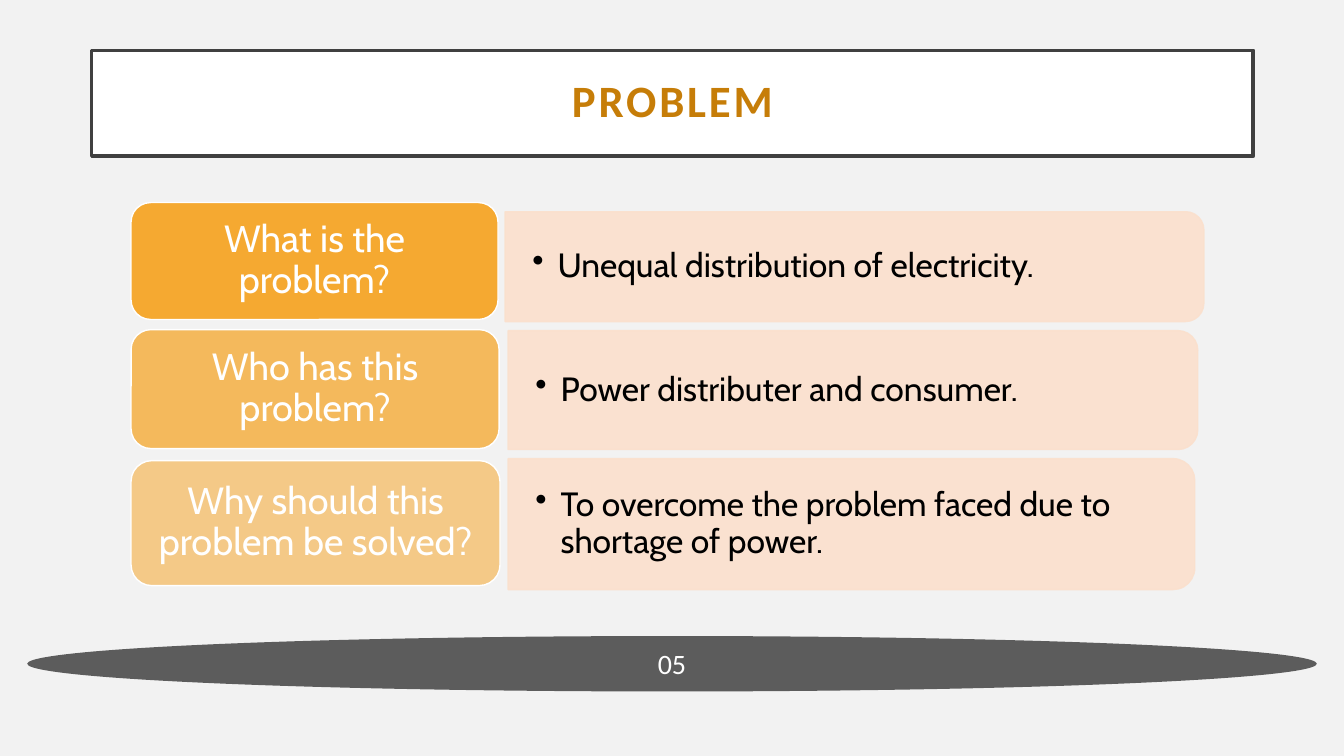
from pptx import Presentation
from pptx.dml.color import RGBColor
from pptx.enum.shapes import MSO_SHAPE as Preset
from pptx.enum.text import MSO_ANCHOR as Anchor, PP_ALIGN as Align
from pptx.oxml import parse_xml
from pptx.oxml.ns import nsdecls, qn
from pptx.util import Inches, Pt

ORANGE, PEACH, WHITE, BLACK = "F6A21D", "FBE0CD", "FFFFFF", "000000"
BULLET_INDENT = 0.25
LABEL_LEFT = 1.3
LABEL_FORMAT = {"size": Pt(27), "name": "Cabin"}
ANSWER_FORMAT = {"size": Pt(24), "name": "Cabin"}
NUMBER_FORMAT = {"size": Pt(20), "name": "Calibri"}
TITLE_FORMAT = {"size": Pt(32), "name": "Calibri", "bold": True}

# Label text, label (top, width, height), opacity, answer, panel (left, top, width, height)
ROWS = [
    ("What is the problem?", (2.01, 3.64, 1.16), 90,
     "Unequal distribution of electricity.", (5.01, 2.1, 6.93, 1.09)),
    ("Who has this problem?", (3.27, 3.65, 1.18), 70,
     "Power distributer and consumer.", (5.04, 3.28, 6.84, 1.18)),
    ("Why should this problem be solved?", (4.57, 3.66, 1.24), 50,
     "To overcome the problem faced due to shortage of power.", (5.04, 4.55, 6.81, 1.3)),
]


def color(hex_value):
    return RGBColor.from_string(hex_value)


def set_opacity(fill_parent, percent):
    srgb = fill_parent.find(qn("a:solidFill")).find(qn("a:srgbClr"))
    srgb.append(parse_xml(f'<a:alpha {nsdecls("a")} val="{percent * 1000}"/>'))


def add_box(slide, preset, box, fill, opacity=100, line=None, line_width=1):
    shape = slide.shapes.add_shape(preset, *map(Inches, box))
    shape.shadow.inherit = False
    shape.fill.solid()
    shape.fill.fore_color.rgb = color(fill)
    if opacity < 100:
        set_opacity(shape._element.spPr, opacity)
    if line:
        shape.line.color.rgb = color(line)
        shape.line.width = Pt(line_width)
    else:
        shape.line.fill.background()
    return shape


def write_text(shape, text, font_format, hex_value, insets, align=Align.CENTER, spacing=0.9):
    """Fill the shape with one paragraph; insets are (horizontal, vertical) inches."""
    frame = shape.text_frame
    horizontal, vertical = map(Inches, insets)
    frame_format = {
        "word_wrap": True, "vertical_anchor": Anchor.MIDDLE,
        "margin_left": horizontal, "margin_right": horizontal,
        "margin_top": vertical, "margin_bottom": vertical,
    }
    for name, value in frame_format.items():
        setattr(frame, name, value)
    paragraph = frame.paragraphs[0]
    paragraph.alignment = align
    paragraph.line_spacing = spacing
    run = paragraph.add_run()
    run.text = text
    for name, value in font_format.items():
        setattr(run.font, name, value)
    run.font.color.rgb = color(hex_value)
    return paragraph


def add_bullet(paragraph):
    properties = paragraph._p.get_or_add_pPr()
    properties.set("marL", str(Inches(BULLET_INDENT)))
    properties.set("indent", str(-Inches(BULLET_INDENT)))
    properties.append(parse_xml(f'<a:buChar {nsdecls("a")} char="•"/>'))


def add_panel(slide, left, top, width, height):
    """Add a panel rounded on its right side: a top-rounded shape turned by 90 degrees."""
    shift = (width - height) / 2
    turned_box = (left + shift, top - shift, height, width)
    panel = add_box(slide, Preset.ROUND_2_SAME_RECTANGLE, turned_box, PEACH, 90, PEACH)
    set_opacity(panel.line._get_or_add_ln(), 90)
    panel.rotation = 90


def add_answer(slide, text, panel_box):
    left, top, width, height = panel_box
    add_panel(slide, *panel_box)
    text_box = (left, top + 0.05, width - 0.06, height - 0.1)
    answer = slide.shapes.add_textbox(*map(Inches, text_box))
    add_bullet(write_text(answer, text, ANSWER_FORMAT, BLACK, (0.27, 0.14), Align.LEFT))


def add_label(slide, text, top, width, height, opacity):
    box = (LABEL_LEFT, top, width, height)
    label = add_box(slide, Preset.ROUNDED_RECTANGLE, box, ORANGE, opacity, WHITE)
    write_text(label, text, LABEL_FORMAT, WHITE, (0.17, 0.12))


def add_page_number(slide, text):
    ellipse = add_box(slide, Preset.OVAL, (0.27, 6.31, 12.79, 0.55), "1D1D1D", 70)
    write_text(ellipse, text, NUMBER_FORMAT, WHITE, (0.02, 0.05), spacing=1.0)


def add_title(slide, text):
    title = add_box(slide, Preset.RECTANGLE, (0.91, 0.5, 11.52, 1.05), WHITE,
                    line="404040", line_width=2.5)
    paragraph = write_text(title, text, TITLE_FORMAT, "C67D08", (0.2, 0.2))
    paragraph.runs[0]._r.get_or_add_rPr().set("spc", "200")


def main():
    presentation = Presentation()
    presentation.slide_width = Inches(13.33)
    presentation.slide_height = Inches(7.5)
    slide = presentation.slides.add_slide(presentation.slide_layouts[6])
    slide.background.fill.solid()
    slide.background.fill.fore_color.rgb = color("F2F2F2")

    for question, label_box, opacity, answer, panel_box in ROWS:
        add_answer(slide, answer, panel_box)
        add_label(slide, question, *label_box, opacity)
    add_page_number(slide, "05")
    add_title(slide, "PROBLEM")
    presentation.save("out.pptx")


if __name__ == "__main__":
    main()
